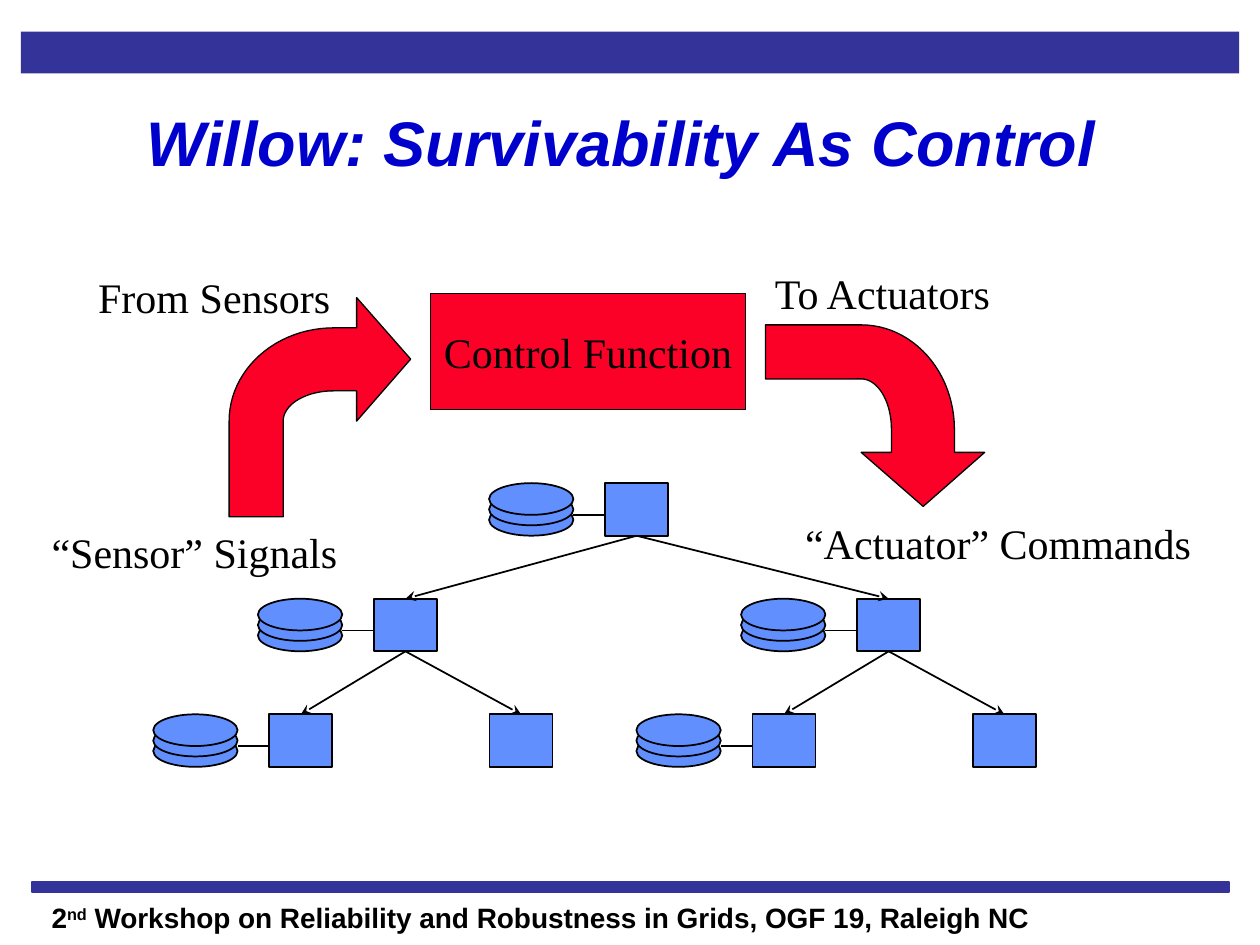
from dataclasses import dataclass
from math import cos, pi, sin
from typing import Optional

from lxml.etree import SubElement
from pptx import Presentation
from pptx.dml.color import RGBColor
from pptx.enum.shapes import MSO_CONNECTOR, MSO_SHAPE
from pptx.enum.text import MSO_ANCHOR, MSO_AUTO_SIZE, PP_ALIGN
from pptx.oxml.ns import qn
from pptx.util import Cm, Pt

COLORS = {
    "bar": "333399",
    "title": "0000CC",
    "node": "618FFD",
    "control": "FC0128",
    "black": "000000",
}
SERIF, SANS = "Times New Roman", "Arial"

# Tree measures in centimetres
NODE_WIDTH, NODE_HEIGHT = 1.27, 1.06
DISK_WIDTH, DISK_HEIGHT, DISK_STEP = 1.7, 0.64, 0.21
LINK_LENGTH = 0.64
ROOT_LEFT, ROOT_TOP, LEVEL_STEP = 12.2, 9.74, 2.33


@dataclass
class Node:
    left: float
    level: int
    parent: Optional["Node"] = None
    has_disks: bool = True

    @property
    def top(self) -> float:
        return ROOT_TOP + self.level * LEVEL_STEP

    @property
    def center(self) -> float:
        return self.left + NODE_WIDTH / 2

    def child(self, offset: float, has_disks: bool = True) -> "Node":
        return Node(self.left + offset, self.level + 1, self, has_disks)


@dataclass
class Label:
    text: str
    left: float
    top: float
    width: float


def color(name: str) -> RGBColor:
    return RGBColor.from_string(COLORS[name])


def paint(shape, fill: str, line: Optional[str] = "black", width: float = 1) -> None:
    shape.shadow.inherit = False
    shape.fill.solid()
    shape.fill.fore_color.rgb = color(fill)
    if line:
        shape.line.color.rgb = color(line)
        shape.line.width = Pt(width)
    else:
        shape.line.fill.background()


def add_block(page, kind, left: float, top: float, width: float, height: float,
              fill: str, line: Optional[str] = "black", line_width: float = 1):
    block = page.shapes.add_shape(kind, Cm(left), Cm(top), Cm(width), Cm(height))
    paint(block, fill, line, line_width)
    return block


def add_line(page, start: tuple, end: tuple, arrow: bool = False) -> None:
    line = page.shapes.add_connector(
        MSO_CONNECTOR.STRAIGHT, *(Cm(value) for value in start + end))
    line.line.color.rgb = color("black")
    line.line.width = Pt(1)
    if arrow:
        SubElement(line.line._get_or_add_ln(), qn("a:tailEnd"), type="stealth")
    SubElement(line._element.spPr, qn("a:effectLst"))


def add_box(page, left: float, top: float, width: float, height: float):
    return page.shapes.add_textbox(Cm(left), Cm(top), Cm(width), Cm(height))


def style(paragraph, size: float, font: str, shade: str = "black",
          bold: bool = False, italic: bool = False) -> None:
    for span in paragraph.runs:
        span.font.size = Pt(size)
        span.font.name = font
        span.font.bold = bold
        span.font.italic = italic
        span.font.color.rgb = color(shade)


def add_label(page, label: Label) -> None:
    box = add_box(page, label.left, label.top, label.width, 1.27)
    box.text_frame.word_wrap = False
    box.text_frame.auto_size = MSO_AUTO_SIZE.SHAPE_TO_FIT_TEXT
    box.text_frame.text = label.text
    style(box.text_frame.paragraphs[0], 24, SERIF)


def add_node(page, node: Node) -> None:
    add_block(page, MSO_SHAPE.RECTANGLE, node.left, node.top,
              NODE_WIDTH, NODE_HEIGHT, "node")
    if node.parent:
        add_line(page, (node.parent.center, node.parent.top + NODE_HEIGHT),
                 (node.center, node.top), arrow=True)
    if node.has_disks:
        link_left = node.left - LINK_LENGTH
        for step in (2, 1, 0):
            add_block(page, MSO_SHAPE.OVAL, link_left - DISK_WIDTH,
                      node.top + step * DISK_STEP, DISK_WIDTH, DISK_HEIGHT, "node")
        link_top = node.top + DISK_HEIGHT
        add_line(page, (link_left, link_top), (node.left, link_top))


def arc(radius_x: float, radius_y: float, steps: int = 24) -> list:
    """Quarter turn from the top of the bend to its left side."""
    angles = [pi / 2 * step / steps for step in range(steps + 1)]
    return [(2.11 - radius_x * sin(angle), 2.49 - radius_y * cos(angle))
            for angle in angles]


def add_bent_arrow(page, left: float, top: float, rotation: float = 0) -> None:
    outline = [(3.66, 1.24), (2.57, 0), (2.57, 0.61), *arc(2.11, 1.88),
               (0, 4.42), (1.09, 4.42), *reversed(arc(1.02, 0.61)),
               (2.57, 1.88), (2.57, 2.49)]
    points = [(Cm(x), Cm(y)) for x, y in outline]
    builder = page.shapes.build_freeform(*points[0])
    builder.add_line_segments(points[1:], close=True)
    arrow = builder.convert_to_shape(Cm(left), Cm(top))
    arrow.rotation = rotation
    paint(arrow, "control", width=0.75)


def add_frame(page) -> None:
    # Bars, title and footer
    add_block(page, MSO_SHAPE.RECTANGLE, 0.42, 0.64, 24.56, 0.84, "bar", None)
    add_block(page, MSO_SHAPE.RECTANGLE, 0.64, 17.78, 24.13, 0.21, "bar", "bar")

    title = add_box(page, 0.42, 1.48, 24.56, 2.9).text_frame
    title.word_wrap = True
    title.vertical_anchor = MSO_ANCHOR.MIDDLE
    title.text = "Willow: Survivability As Control "
    title.paragraphs[0].alignment = PP_ALIGN.CENTER
    title.paragraphs[0].line_spacing = 0.95
    style(title.paragraphs[0], 36, SANS, "title", bold=True, italic=True)

    footer = add_box(page, 0.42, 18.03, 20.96, 0.94).text_frame
    footer.word_wrap = True
    paragraph = footer.paragraphs[0]
    paragraph.alignment = PP_ALIGN.CENTER
    for text in ("2", "nd",
                 " Workshop on Reliability and Robustness in Grids, OGF 19, Raleigh NC"):
        paragraph.add_run().text = text
    style(paragraph, 16, SANS, bold=True)
    paragraph.runs[1]._r.get_or_add_rPr().set("baseline", "30000")


def add_control(page) -> None:
    # Control function with its incoming and outgoing arrows
    control = add_block(page, MSO_SHAPE.RECTANGLE, 8.68, 5.92, 6.35, 2.34,
                        "control", line_width=0.75)
    frame = control.text_frame
    frame.word_wrap = False
    frame.vertical_anchor = MSO_ANCHOR.MIDDLE
    frame.text = "Control Function"
    frame.paragraphs[0].alignment = PP_ALIGN.CENTER
    style(frame.paragraphs[0], 24, SERIF)
    add_bent_arrow(page, 4.62, 6)
    add_bent_arrow(page, 15.81, 6.17, rotation=90)


def main() -> None:
    deck = Presentation()
    deck.slide_width, deck.slide_height = Cm(25.4), Cm(19.05)
    page = deck.slides.add_slide(deck.slide_layouts[6])
    add_frame(page)

    # Tree of controlled nodes
    root = Node(ROOT_LEFT, 0)
    branches = [root.child(-4.66), root.child(5.08)]
    leaves = [leaf for branch in branches
              for leaf in (branch.child(-2.11), branch.child(2.33, has_disks=False))]
    for node in (root, *branches, *leaves):
        add_node(page, node)

    add_control(page)
    for label in (Label("“Sensor” Signals", 0.79, 10.49, 6.3),
                  Label("“Actuator” Commands", 15.98, 10.31, 8.4),
                  Label("From Sensors", 1.73, 5.35, 5.2),
                  Label("To Actuators", 15.37, 5.26, 4.95)):
        add_label(page, label)
    deck.save("out.pptx")


if __name__ == "__main__":
    main()
